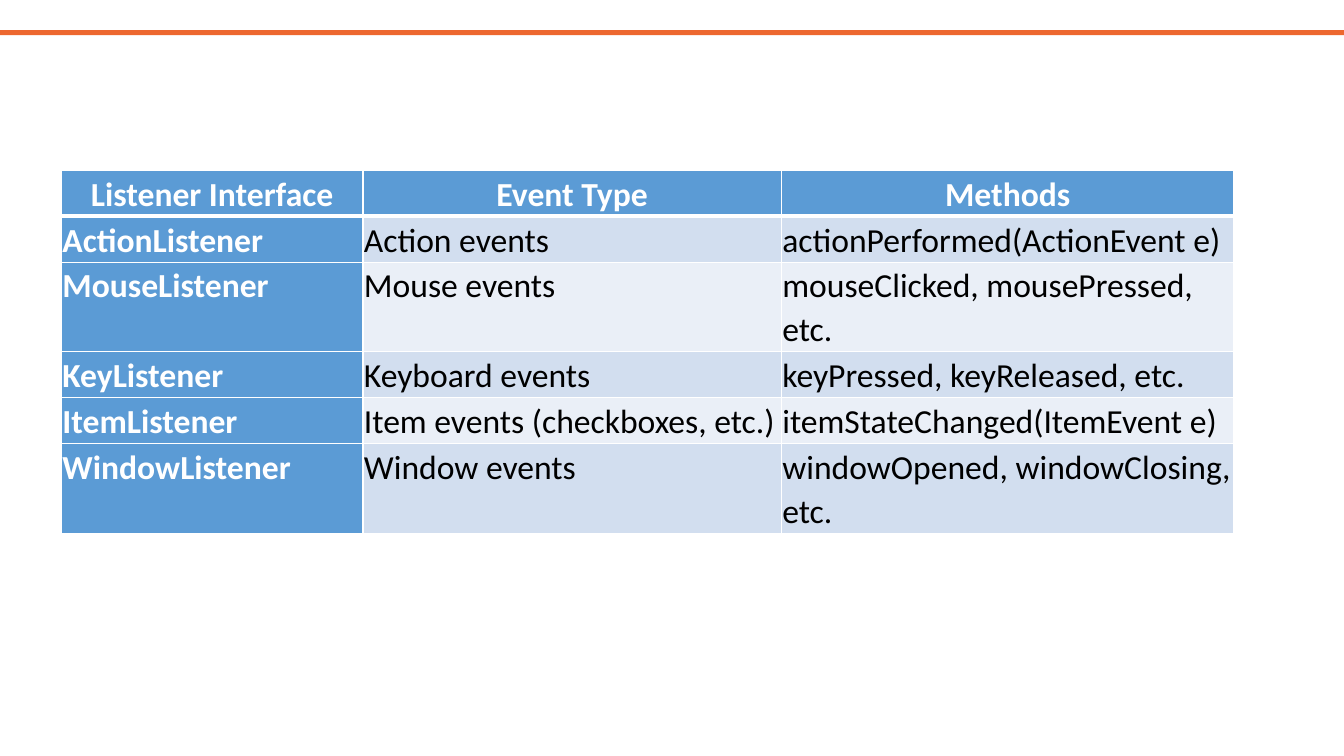
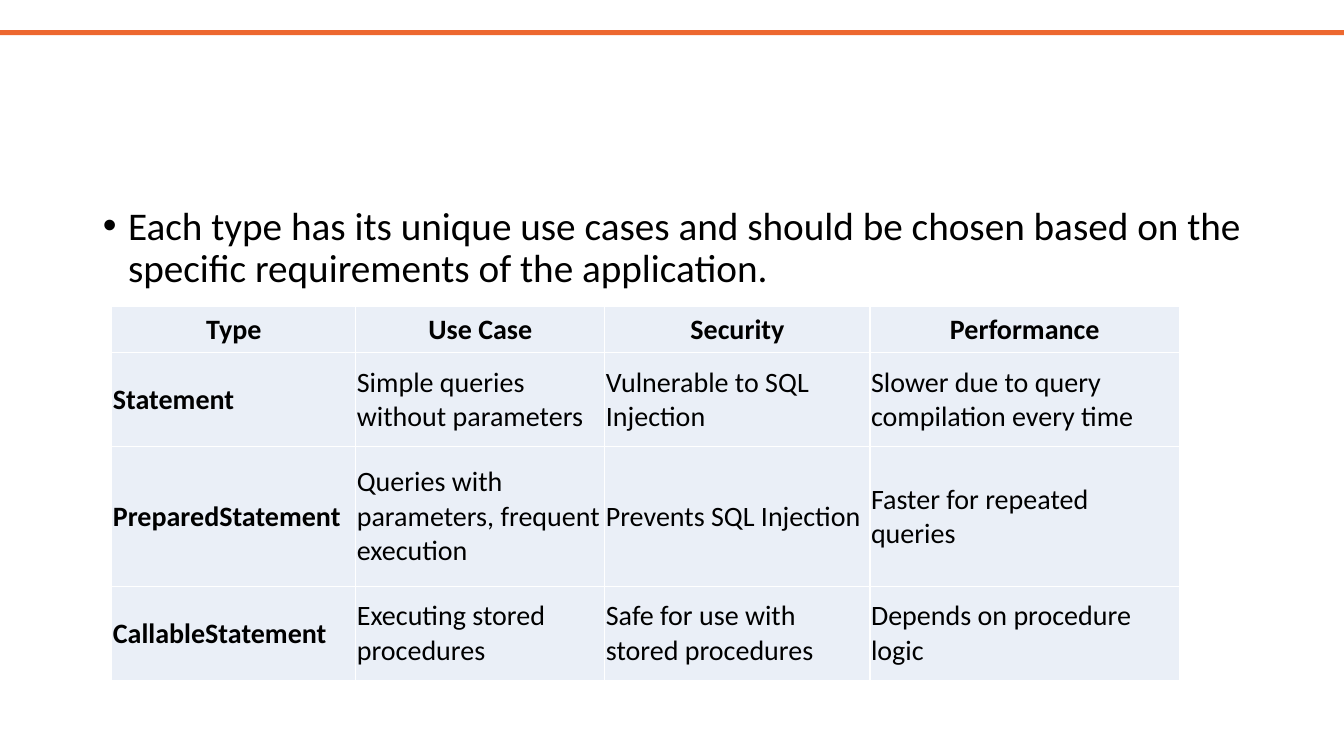
from lxml import etree
from pptx import Presentation
from pptx.dml.color import RGBColor
from pptx.enum.shapes import MSO_SHAPE
from pptx.enum.text import MSO_ANCHOR, PP_ALIGN
from pptx.oxml.ns import qn
from pptx.util import Inches, Pt

RECT = MSO_SHAPE.RECTANGLE
TOP, MIDDLE = MSO_ANCHOR.TOP, MSO_ANCHOR.MIDDLE
LEFT, CENTER = PP_ALIGN.LEFT, PP_ALIGN.CENTER

WHITE = RGBColor(0xFF, 0xFF, 0xFF)
BLACK = RGBColor(0, 0, 0)
ORANGE = RGBColor(0xED, 0x68, 0x2F)
BLUE = RGBColor(0x5B, 0x9B, 0xD5)
MID = RGBColor(0xD2, 0xDE, 0xEF)
PALE = RGBColor(0xEA, 0xEF, 0xF7)

FONT = "Calibri"
WIDTH, HEIGHT = 13.33, 7.5
INSET = Inches(0.01)
INSETS = {"margin_left": INSET, "margin_right": INSET,
          "margin_top": INSET, "margin_bottom": INSET}

EVENTS = [
    ["Listener Interface", "Event Type", "Methods"],
    ["ActionListener", "Action events", "actionPerformed(ActionEvent e)"],
    ["MouseListener", "Mouse events", "mouseClicked, mousePressed, etc."],
    ["KeyListener", "Keyboard events", "keyPressed, keyReleased, etc."],
    ["ItemListener", "Item events (checkboxes, etc.)", "itemStateChanged(ItemEvent e)"],
    ["WindowListener", "Window events", "windowOpened, windowClosing, etc."],
]
QUERIES = [
    ["Type", "Use Case", "Security", "Performance"],
    ["Statement", "Simple queries without parameters",
     "Vulnerable to SQL Injection", "Slower due to query compilation every time"],
    ["PreparedStatement", "Queries with parameters, frequent execution",
     "Prevents SQL Injection", "Faster for repeated queries"],
    ["CallableStatement", "Executing stored procedures",
     "Safe for use with stored procedures", "Depends on procedure logic"],
]
ADVICE = ("Each type has its unique use cases and should be chosen based on the "
          "specific requirements of the application.")


def apply(target, values):
    """Set each named attribute on the target."""
    for name, value in values.items():
        setattr(target, name, value)


def style(para, size, color, bold=False, **layout):
    """Format a paragraph and its font."""
    apply(para, layout)
    apply(para.font, {"name": FONT, "size": Pt(size), "bold": bold})
    para.font.color.rgb = color


def place(shape, left, top, width, height):
    """Move a shape to a box given in inches."""
    apply(shape, {"left": Inches(left), "top": Inches(top),
                  "width": Inches(width), "height": Inches(height)})


def border(cell, top, bottom):
    """Draw white borders with the given top and bottom weights."""
    props = cell._tc.get_or_add_tcPr()
    for side, weight in {"L": 1, "R": 1, "T": top, "B": bottom}.items():
        line = etree.SubElement(props, qn(f"a:ln{side}"), w=str(Pt(weight)))
        fill = etree.SubElement(line, qn("a:solidFill"))
        etree.SubElement(fill, qn("a:srgbClr"), val=str(WHITE))


def add_band(slide):
    """Add the orange band near the top edge."""
    band = slide.shapes.add_shape(RECT, 0, Inches(0.3), Inches(WIDTH), Inches(0.05))
    band.shadow.inherit = False
    band.fill.solid()
    band.fill.fore_color.rgb = ORANGE
    band.line.fill.background()


def add_grid(slide, left, top, data, cols, rows, size, look, rule=1, anchor=TOP, gap=None):
    """Add a table whose cell colours come from look(row, column)."""
    box = [Inches(n) for n in (left, top, sum(cols), sum(rows))]
    table = slide.shapes.add_table(len(rows), len(cols), *box).table
    apply(table, {"first_row": False, "horz_banding": False})
    for col, width in zip(table.columns, cols):
        col.width = Inches(width)
    for r, (row, height) in enumerate(zip(table.rows, rows)):
        row.height = Inches(height)
        for c, cell in enumerate(row.cells):
            fill, ink = look(r, c)
            apply(cell, {"text": data[r][c], "vertical_anchor": anchor, **INSETS})
            border(cell, rule if r == 1 else 1, rule if r == 0 else 1)
            cell.fill.solid()
            cell.fill.fore_color.rgb = fill
            style(cell.text_frame.paragraphs[0], size, ink, r == 0 or c == 0,
                  alignment=LEFT if r else CENTER, line_spacing=gap)


def add_point(slide, text, left, top, width, height):
    """Fill the body placeholder with one bullet."""
    body = slide.placeholders[1]
    place(body, left, top, width, height)
    body.text_frame.text = text
    para = body.text_frame.paragraphs[0]
    props = para._p.get_or_add_pPr()
    props.set("marL", str(Inches(0.25)))
    props.set("indent", str(-Inches(0.25)))
    etree.SubElement(props, qn("a:buFont"), typeface="Arial")
    etree.SubElement(props, qn("a:buChar"), char="•")
    style(para, 28, BLACK, line_spacing=0.9, space_before=Pt(0))


def event_look(row, col):
    """Pick fill and ink for the listener table."""
    if row == 0 or col == 0:
        return BLUE, WHITE
    return (MID if row % 2 else PALE), BLACK


def query_look(row, col):
    """Pick fill and ink for the statement table."""
    return PALE, BLACK


def event_slide(deck):
    """Build the listener slide."""
    slide = deck.slides.add_slide(deck.slide_layouts[6])
    add_band(slide)
    add_grid(slide, 0.61, 1.69, EVENTS, [2.99, 4.15, 4.49], [0.4] * len(EVENTS),
             24, event_look, rule=3, gap=1.07)


def query_slide(deck):
    """Build the statement slide."""
    slide = deck.slides.add_slide(deck.slide_layouts[1])
    title = slide.shapes.title
    title.element.getparent().remove(title.element)
    add_band(slide)
    add_point(slide, ADVICE, 0.92, 2, 11.5, 4.76)
    add_grid(slide, 1.11, 3.04, QUERIES, [2.42, 2.47, 2.63, 3.07],
             [0.46, 0.93, 1.39, 0.93], 20, query_look, anchor=MIDDLE)


def main():
    """Build and save the deck."""
    deck = Presentation()
    apply(deck, {"slide_width": Inches(WIDTH), "slide_height": Inches(HEIGHT)})
    event_slide(deck)
    query_slide(deck)
    deck.save("out.pptx")


if __name__ == "__main__":
    main()
